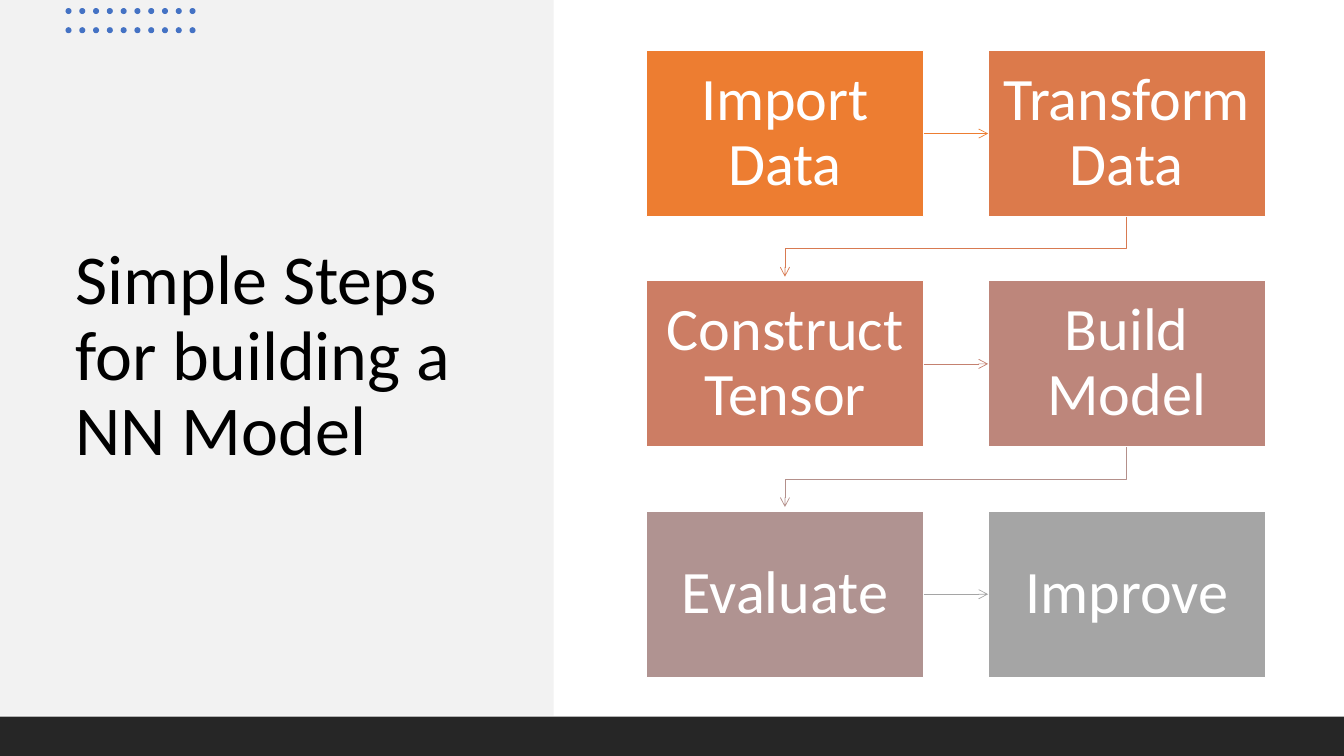
from lxml import etree
from pptx import Presentation
from pptx.dml.color import RGBColor
from pptx.enum.shapes import MSO_CONNECTOR, MSO_SHAPE
from pptx.enum.text import MSO_ANCHOR, MSO_AUTO_SIZE, PP_ALIGN
from pptx.oxml.ns import qn
from pptx.util import Inches, Pt

RECT, OVAL = MSO_SHAPE.RECTANGLE, MSO_SHAPE.OVAL
STRAIGHT = MSO_CONNECTOR.STRAIGHT
MIDDLE = MSO_ANCHOR.MIDDLE
LEFT, CENTER = PP_ALIGN.LEFT, PP_ALIGN.CENTER
BOTTOM_MARGIN, RIGHT_SIDE, LEFT_SIDE = 0.39, 3, 1
SLIDE_W, SLIDE_H = 13.33, 7.5


def add_block(kind, left, top, width, height, fill):
    shape = slide.shapes.add_shape(
        kind, Inches(left), Inches(top), Inches(width), Inches(height))
    shape.shadow.inherit = False
    shape.fill.solid()
    shape.fill.fore_color.rgb = RGBColor.from_string(fill)
    shape.line.fill.background()
    return shape


def write(shape, text, size, color, align):
    frame = shape.text_frame
    frame.word_wrap = True
    frame.auto_size = MSO_AUTO_SIZE.NONE
    frame.vertical_anchor = MIDDLE
    paragraph = frame.paragraphs[0]
    paragraph.alignment = align
    paragraph.line_spacing = 0.9
    run = paragraph.add_run()
    run.text = text
    run.font.name = "Calibri"
    run.font.size = Pt(size)
    run.font.color.rgb = RGBColor.from_string(color)


prs = Presentation()
prs.slide_width, prs.slide_height = Inches(SLIDE_W), Inches(SLIDE_H)
slide = prs.slides.add_slide(prs.slide_layouts[5])

# Left panel with the title in front of it
panel = add_block(RECT, 0, 0, 5.49, 7.1, "F2F2F2")
title = slide.shapes.title
title.left, title.top = Inches(0.65), Inches(1.32)
title.width, title.height = Inches(4.24), Inches(4.45)
write(title, "Simple Steps for building a NN Model", 50, "000000", LEFT)
panel.element.addnext(title.element)

# Dot grid and bottom band
DOT_COLS, DOT_ROWS = 10, 2
for row in range(DOT_ROWS):
    for col in range(DOT_COLS):
        add_block(OVAL, 0.65 + col * 1.23 / (DOT_COLS - 1), 0.08 + row * 0.19,
                  0.06, 0.06, "4472C4")
add_block(RECT, 0, SLIDE_H - BOTTOM_MARGIN, SLIDE_W, BOTTOM_MARGIN, "262626")

# Steps: two columns, read row by row; each has a fill and an outgoing arrow colour
STEPS = [
    ("Import Data", "ED7D31", "ED7D31"),
    ("Transform Data", "DC7A4B", "D87A51"),
    ("Construct Tensor", "CC7D64", "C48170"),
    ("Build Model", "BD867B", "B4908B"),
    ("Evaluate", "B09391", "A5A5A5"),
    ("Improve", "A5A5A5", None),
]
COLS = 2
GRID_LEFT, GRID_TOP = 6.41, 0.5
STEP_W, STEP_H = 2.75, 1.65
PITCH_X, PITCH_Y = 3.39, 2.285

boxes = []
for i, (label, fill, _) in enumerate(STEPS):
    row, col = divmod(i, COLS)
    box = add_block(RECT, GRID_LEFT + col * PITCH_X, GRID_TOP + row * PITCH_Y,
                    STEP_W, STEP_H, fill)
    box.line.color.rgb = RGBColor.from_string("FFFFFF")
    box.line.width = Pt(1)
    frame = box.text_frame
    frame.margin_left = frame.margin_right = Inches(0.13)
    frame.margin_top = frame.margin_bottom = Inches(0.14)
    write(box, label, 43, "FFFFFF", CENTER)
    boxes.append(box)

# Arrows: straight within a row, stepped down to the start of the next row
for i, (source, target) in enumerate(zip(boxes, boxes[1:])):
    if i % COLS == 0:
        arrow = slide.shapes.add_connector(STRAIGHT, 0, 0, 0, 0)
        arrow.begin_connect(source, RIGHT_SIDE)
        arrow.end_connect(target, LEFT_SIDE)
        etree.SubElement(arrow.element.spPr, qn("a:effectLst"))
    else:
        start_x = source.left + source.width // 2
        end_x = target.left + target.width // 2
        start_y = source.top + source.height
        end_y = target.top - Inches(0.04)
        turn_y = (start_y + target.top) // 2
        path_builder = slide.shapes.build_freeform(start_x, start_y)
        path_builder.add_line_segments(
            [(start_x, turn_y), (end_x, turn_y), (end_x, end_y)], close=False)
        arrow = path_builder.convert_to_shape()
        arrow.fill.background()
        arrow.shadow.inherit = False
    arrow.line.color.rgb = RGBColor.from_string(STEPS[i][2])
    arrow.line.width = Pt(0.5)
    etree.SubElement(arrow.line._get_or_add_ln(), qn("a:tailEnd"), type="arrow")

prs.save("out.pptx")
